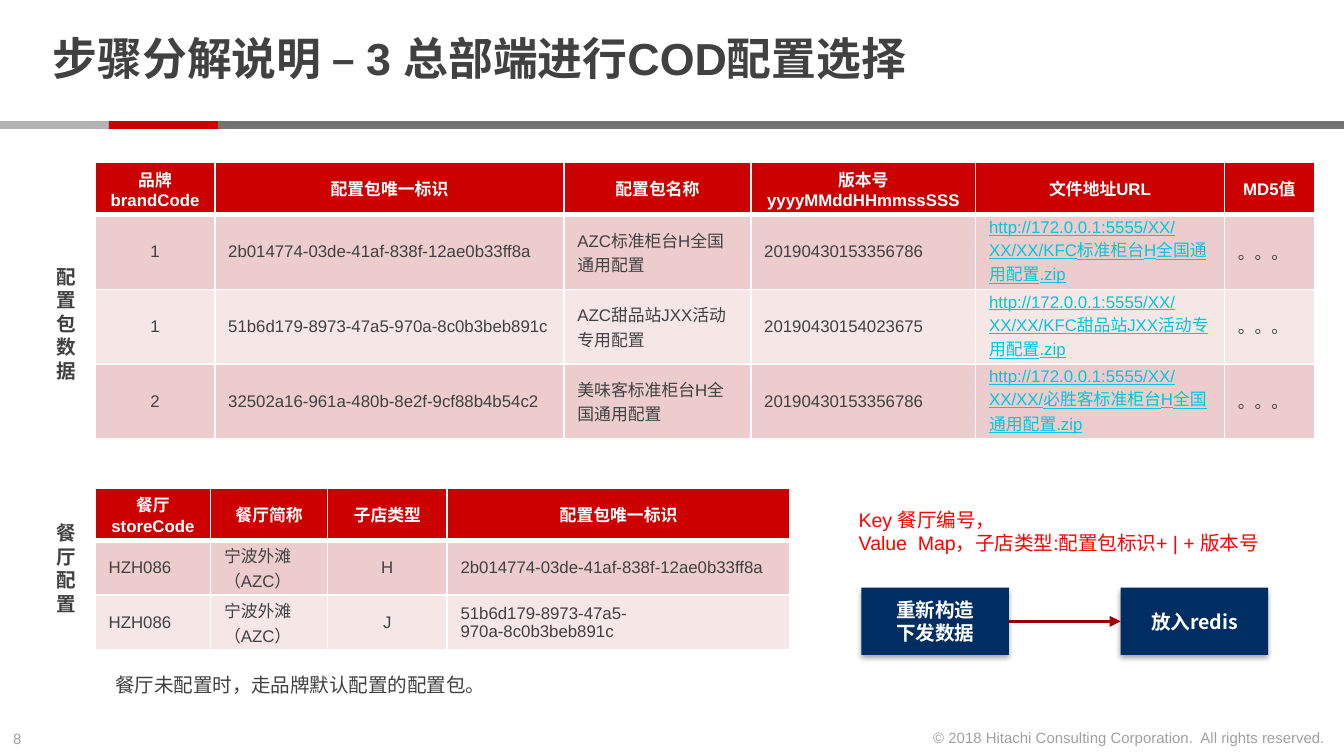
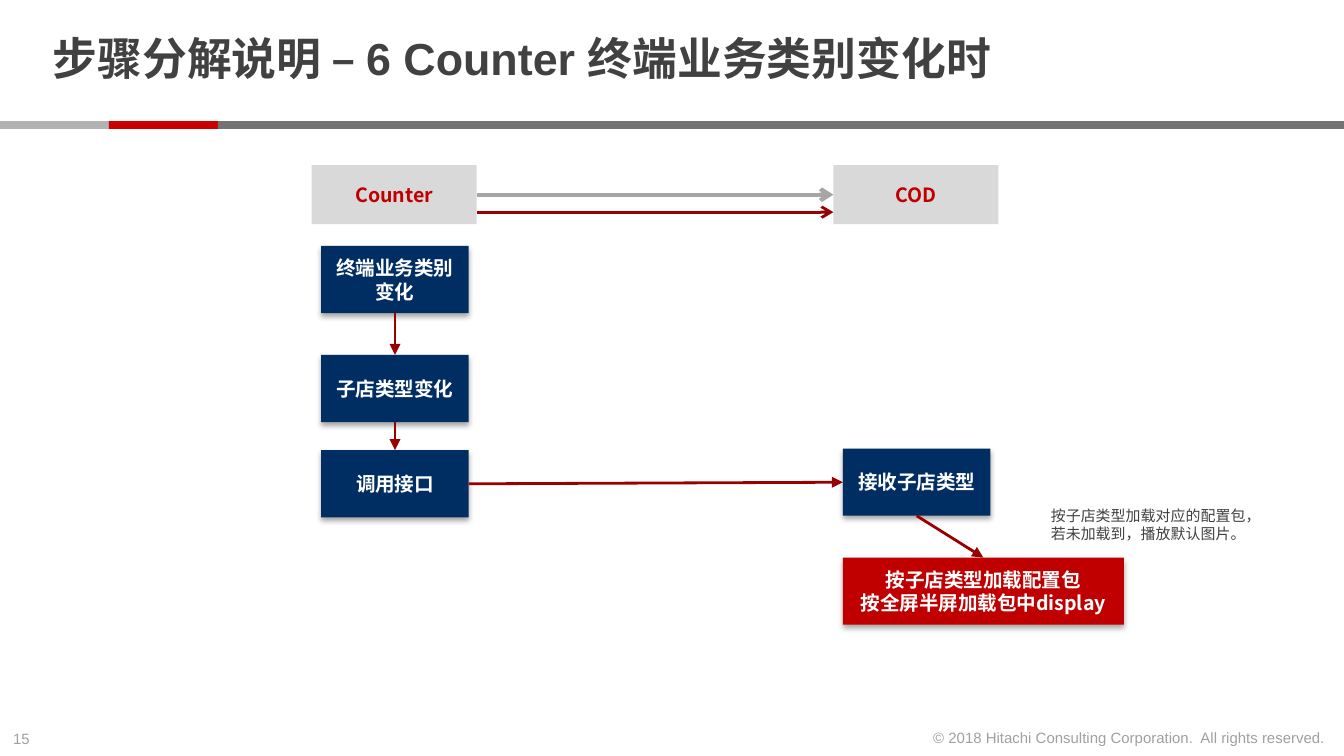
"""Builds two slides on counter configuration: package tables and a change flow."""
from lxml import etree
from pptx import Presentation
from pptx.dml.color import RGBColor
from pptx.enum.shapes import MSO_CONNECTOR, MSO_SHAPE
from pptx.enum.text import MSO_ANCHOR, PP_ALIGN
from pptx.oxml import parse_xml
from pptx.oxml.ns import nsdecls, qn
from pptx.util import Cm, Pt

WHITE = RGBColor(0xFF, 0xFF, 0xFF)
INK = RGBColor(0x41, 0x41, 0x41)
FAINT = RGBColor(0xA0, 0xA0, 0xA0)
RED = RGBColor(0xCC, 0x00, 0x00)
BRICK = RGBColor(0xC0, 0x00, 0x00)
BRIGHT = RGBColor(0xFF, 0x00, 0x00)
MAROON = RGBColor(0x99, 0x00, 0x00)
NAVY = RGBColor(0x00, 0x2E, 0x62)
CYAN = RGBColor(0x00, 0xC8, 0xDC)
SILVER = RGBColor(0xD9, 0xD9, 0xD9)
GREY = RGBColor(0xA6, 0xA6, 0xA6)
STRIPES = RGBColor(0xEC, 0xCC, 0xCC), RGBColor(0xF6, 0xE7, 0xE7)
BANDS = [(0, 2.06, RGBColor(0xB3, 0xB3, 0xB3)), (2.06, 2.06, RED),
         (4.12, 21.28, RGBColor(0x73, 0x73, 0x73))]
LATIN, CJK = "Arial", "Noto Sans CJK SC"
COPYRIGHT = "© 2018 Hitachi Consulting Corporation.  All rights reserved."
LEFT, CENTER, RIGHT = PP_ALIGN.LEFT, PP_ALIGN.CENTER, PP_ALIGN.RIGHT

PACKAGES = {
    "at": (1.8, 3.07), "cols": [2.26, 6.6, 3.53, 4.25, 4.7, 1.7],
    "row": 1.41, "centred": {0},
    "rows": [
        ["品牌\nbrandCode", "配置包唯一标识", "配置包名称",
         "版本号\nyyyyMMddHHmmssSSS", "文件地址URL", "MD5值"],
        ["1", "2b014774-03de-41af-838f-12ae0b33ff8a", "AZC标准柜台H全国通用配置",
         "20190430153356786",
         "http://172.0.0.1:5555/XX/XX/XX/KFC标准柜台H全国通用配置.zip", "。。。"],
        ["1", "51b6d179-8973-47a5-970a-8c0b3beb891c", "AZC甜品站JXX活动专用配置",
         "20190430154023675",
         "http://172.0.0.1:5555/XX/XX/XX/KFC甜品站JXX活动专用配置.zip", "。。。"],
        ["2", "32502a16-961a-480b-8e2f-9cf88b4b54c2", "美味客标准柜台H全国通用配置",
         "20190430153356786",
         "http://172.0.0.1:5555/XX/XX/XX/必胜客标准柜台H全国通用配置.zip", "。。。"],
    ],
}
STORES = {
    "at": (1.8, 9.22), "cols": [2.18, 2.21, 2.26, 6.48],
    "row": 1.04, "centred": {2},
    "rows": [
        ["餐厅 storeCode", "餐厅简称", "子店类型", "配置包唯一标识"],
        ["HZH086", "宁波外滩（AZC）", "H", "2b014774-03de-41af-838f-12ae0b33ff8a"],
        ["HZH086", "宁波外滩（AZC）", "J", "51b6d179-8973-47a5-970a-8c0b3beb891c"],
    ],
}
BOX_W, BOX_H = 2.79, 1.27
TOP, SIDE_L, BOTTOM, SIDE_R = range(4)
SLIDES = [
    {
        "title": "步骤分解说明 – 3 总部端进行COD配置选择", "page": "8",
        "tables": [STORES, PACKAGES],
        "texts": [
            ((0.81, 4.88, 0.74, 2.49), "配置包数据", {"bold": True}),
            ((0.81, 9.73, 0.74, 2.06), "餐厅配置", {"bold": True}),
            ((1.93, 12.6, 22.05, 0.71), "餐厅未配置时，走品牌默认配置的配置包。", {}),
            ((15.98, 9.47, 8.31, 1.14),
             "Key 餐厅编号，\nValue  Map，子店类型:配置包标识+ | + 版本号", {"color": BRIGHT}),
        ],
        "boxes": {
            "rebuild": (16.28, 11.11, BOX_W, NAVY, "重新构造\n下发数据"),
            "store": (21.18, 11.11, BOX_W, NAVY, "放入redis"),
        },
        "links": [("rebuild", SIDE_R, "store", SIDE_L)],
    },
    {
        "title": "步骤分解说明 – 6 Counter 终端业务类别变化时", "page": "15",
        "texts": [((19.61, 9.45, 4.57, 0.94),
                   "按子店类型加载对应的配置包，若未加载到，播放默认图片。", {"size": 8})],
        "lanes": [(5.89, "Counter"), (15.75, "COD")],
        "calls": [(3.68, GREY, 2.25), (4.01, MAROON, 1.5)],
        "boxes": {
            "business": (6.07, 4.65, BOX_W, NAVY, "终端业务类别变化"),
            "type": (6.07, 6.71, BOX_W, NAVY, "子店类型变化"),
            "call": (6.07, 8.51, BOX_W, NAVY, "调用接口"),
            "receive": (15.93, 8.48, BOX_W, NAVY, "接收子店类型"),
            "load": (15.93, 10.54, 5.31, BRICK, "按子店类型加载配置包\n按全屏半屏加载包中display"),
        },
        "links": [("business", BOTTOM, "type", TOP), ("type", BOTTOM, "call", TOP),
                  ("call", SIDE_R, "receive", SIDE_L), ("receive", BOTTOM, "load", TOP)],
    },
]
LANE_Y, LANE_W, LANE_H = 3.12, 3.12, 1.12


def cm(*values):
    return [Cm(v) for v in values]


def write(tf, text, size=10.5, color=INK, align=LEFT, name=LATIN, **fonts):
    tf.word_wrap = True
    for i, line in enumerate(text.split("\n")):
        p = tf.paragraphs[0] if i == 0 else tf.add_paragraph()
        p.alignment = align
        r = p.add_run()
        r.text = line
        for key, value in {"size": Pt(size), "name": name, **fonts}.items():
            setattr(r.font, key, value)
        r.font.color.rgb = color
        r.font._element.find(qn("a:latin")).addnext(
            parse_xml(f'<a:ea {nsdecls("a")} typeface="{CJK}"/>'))


def add_text(s, at, text, **fmt):
    write(s.shapes.add_textbox(*cm(*at)).text_frame, text, **fmt)


def add_rect(s, at, fill, text="", color=WHITE, shadow=False):
    sp = s.shapes.add_shape(MSO_SHAPE.RECTANGLE, *cm(*at))
    sp.shadow.inherit = False
    sp.fill.solid()
    sp.fill.fore_color.rgb = fill
    sp.line.fill.background()
    if shadow:
        sp._element.spPr.find(qn("a:effectLst")).append(parse_xml(
            f'<a:outerShdw {nsdecls("a")} blurRad="39400" dist="22900" dir="5400000" '
            'rotWithShape="0"><a:srgbClr val="000000"><a:alpha val="35000"/>'
            '</a:srgbClr></a:outerShdw>'))
    if text:
        sp.text_frame.vertical_anchor = MSO_ANCHOR.MIDDLE
        write(sp.text_frame, text, color=color, align=CENTER, name=CJK, bold=True)
    return sp


def add_arrow(s, ends=(0, 0, 0, 0), color=MAROON, width=1.5, head="triangle"):
    c = s.shapes.add_connector(MSO_CONNECTOR.STRAIGHT, *cm(*ends))
    c.line.color.rgb = color
    c.line.width = Pt(width)
    etree.SubElement(c.line._get_or_add_ln(), qn("a:tailEnd"), type=head)
    etree.SubElement(c._element.spPr, qn("a:effectLst"))
    return c


def format_cell(cell, fill, bottom):
    for key, value in {"margin_top": 0, "margin_bottom": 0,
                       "vertical_anchor": MSO_ANCHOR.MIDDLE}.items():
        setattr(cell, key, value)
    for side, points in {"L": 1, "R": 1, "T": 1, "B": bottom}.items():
        cell._tc.get_or_add_tcPr().append(parse_xml(
            f'<a:ln{side} {nsdecls("a")} w="{Pt(points)}"><a:solidFill>'
            f'<a:srgbClr val="{WHITE}"/></a:solidFill></a:ln{side}>'))
    cell.fill.solid()
    cell.fill.fore_color.rgb = fill


def add_grid(s, spec):
    rows, cols = spec["rows"], spec["cols"]
    heights = [0.99] + [spec["row"]] * (len(rows) - 1)
    table = s.shapes.add_table(len(rows), len(cols),
                               *cm(*spec["at"], sum(cols), sum(heights))).table
    for column, width in zip(table.columns, cols):
        column.width = Cm(width)
    for i, row in enumerate(rows):
        table.rows[i].height = Cm(heights[i])
        for j, text in enumerate(row):
            cell = table.cell(i, j)
            format_cell(cell, STRIPES[(i - 1) % 2] if i else RED, 1 if i else 3)
            fmt = {"color": INK, "bold": False,
                   "align": CENTER if j in spec["centred"] else LEFT}
            if i == 0:
                fmt = {"color": WHITE, "bold": True, "align": CENTER}
            elif text.startswith("http"):
                fmt.update(color=CYAN, underline=True)
            write(cell.text_frame, text, size=9, **fmt)


def add_frame(s, title, page):
    for x, width, fill in BANDS:
        add_rect(s, (x, 2.29, width, 0.15), fill)
    add_text(s, (0, 13.67, 0.9, 0.61), page, size=8, color=FAINT)
    add_text(s, (17.27, 13.64, 8.03, 0.61), COPYRIGHT, size=8, color=FAINT, align=RIGHT)
    sp = s.shapes.title
    for key, value in zip(("left", "top", "width", "height"), cm(0.74, 0.15, 19.58, 2.03)):
        setattr(sp, key, value)
    tf = sp.text_frame
    for key, value in {"margin_top": 0, "margin_bottom": 0,
                       "vertical_anchor": MSO_ANCHOR.MIDDLE}.items():
        setattr(tf, key, value)
    write(tf, title, size=24, bold=True)
    tf.paragraphs[0].line_spacing = 0.85


def add_lanes(s, lanes, calls):
    for x, name in lanes:
        add_rect(s, (x, LANE_Y, LANE_W, LANE_H), SILVER, name, BRICK)
    for y, color, width in calls:
        add_arrow(s, (lanes[0][0] + LANE_W, y, lanes[1][0], y), color, width, "arrow")


def build(prs, spec):
    s = prs.slides.add_slide(prs.slide_layouts[5])
    add_frame(s, spec["title"], spec["page"])
    for table in spec.get("tables", []):
        add_grid(s, table)
    if "lanes" in spec:
        add_lanes(s, spec["lanes"], spec["calls"])
    for at, text, fmt in spec["texts"]:
        add_text(s, at, text, **fmt)
    boxes = {key: add_rect(s, (x, y, w, BOX_H), fill, text, shadow=True)
             for key, (x, y, w, fill, text) in spec["boxes"].items()}
    for start, start_site, end, end_site in spec["links"]:
        c = add_arrow(s)
        c.begin_connect(boxes[start], start_site)
        c.end_connect(boxes[end], end_site)


def main():
    prs = Presentation()
    prs.slide_width, prs.slide_height = cm(25.4, 14.29)
    for spec in SLIDES:
        build(prs, spec)
    prs.save("out.pptx")


if __name__ == "__main__":
    main()
